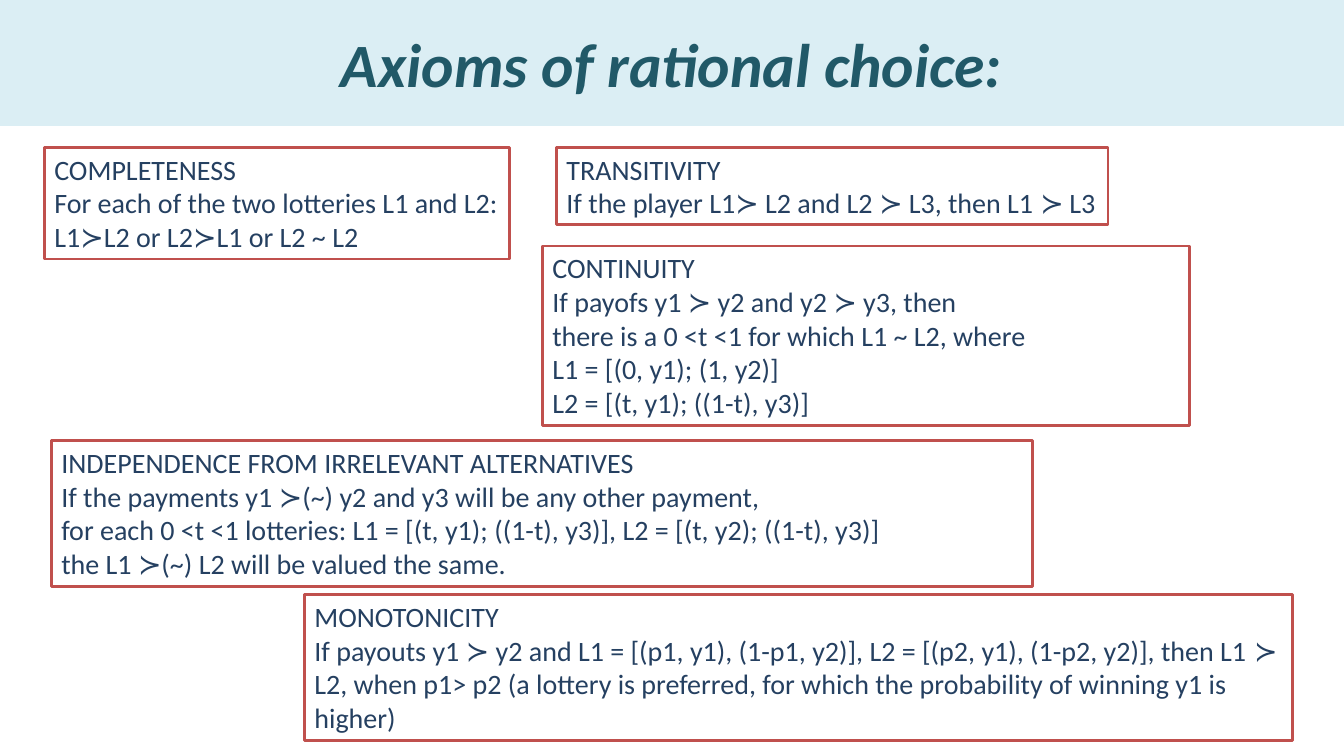
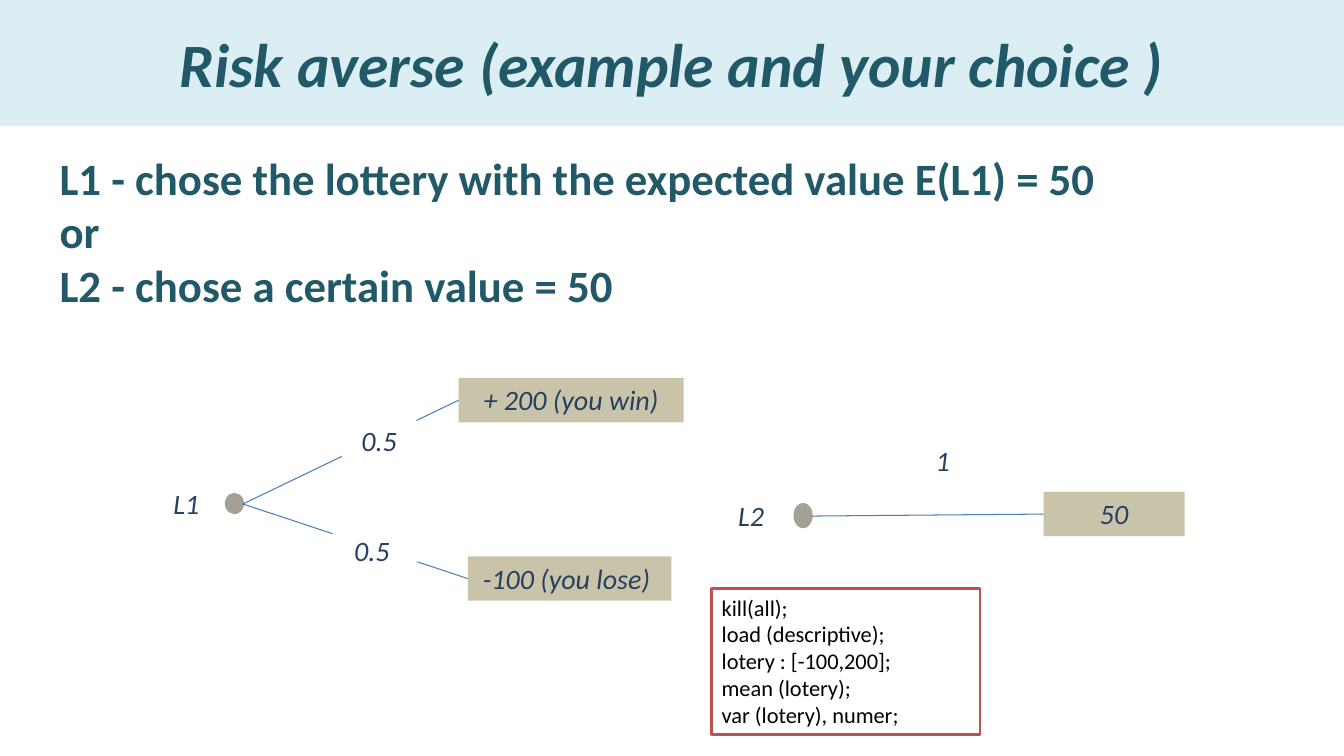
import pptx
import pptx.dml.color
import pptx.enum.shapes
import pptx.enum.text
import pptx.oxml.ns
import pptx.util
from lxml import etree

Inches = pptx.util.Inches
Pt = pptx.util.Pt
SHAPE = pptx.enum.shapes.MSO_SHAPE
ANCHOR = pptx.enum.text.MSO_ANCHOR
ALIGN = pptx.enum.text.PP_ALIGN
AUTO = pptx.enum.text.MSO_AUTO_SIZE
qn = pptx.oxml.ns.qn

FONT = "Calibri"
BAND, TEAL, NAVY, RED = "DBEEF4", "215968", "254061", "C0504D"
WHITE, BLACK, BLUE, OLIVE, DARK = "FFFFFF", "000000", "4B7EBC", "948A54", "4A452A"


def rgb(hex_text):
    return pptx.dml.color.RGBColor.from_string(hex_text)


def box(shapes, at, lines=(), kind=SHAPE.RECTANGLE, fill=WHITE, alpha=None,
        line=None, size=20, color=NAVY, italic=False, align=ALIGN.LEFT):
    """Add a filled shape with one paragraph per line; alpha is in percent."""
    sp = shapes.add_shape(kind, *[Inches(v) for v in at])
    sp.shadow.inherit = False
    sp.fill.solid()
    sp.fill.fore_color.rgb = rgb(fill)
    if alpha is not None:
        clr = sp.fill._xPr.find(qn("a:solidFill")).find(qn("a:srgbClr"))
        etree.SubElement(clr, qn("a:alpha")).set("val", str(alpha * 1000))
    if line:
        sp.line.color.rgb = rgb(line)
        sp.line.width = Pt(2)
    else:
        sp.line.fill.background()
    tf = sp.text_frame
    tf.word_wrap = True
    tf.vertical_anchor = ANCHOR.TOP
    if lines:
        tf.auto_size = AUTO.SHAPE_TO_FIT_TEXT
    for i, text in enumerate(lines):
        p = tf.add_paragraph() if i else tf.paragraphs[0]
        p.alignment = align
        r = p.add_run()
        r.text = text
        r.font.name = FONT
        r.font.size = Pt(size)
        r.font.italic = italic
        r.font.color.rgb = rgb(color)


prs = pptx.Presentation()
prs.slide_width = Inches(13.33)
prs.slide_height = Inches(7.5)

# Slides with their shared title band
slides = []
for layout, title in [(5, "Axioms of rational choice:"),
                      (1, "Risk averse (example and your choice )")]:
    s = prs.slides.add_slide(prs.slide_layouts[layout])
    sp = s.shapes.title
    sp.left, sp.top = 0, 0
    sp.width, sp.height = prs.slide_width, Inches(1.25)
    sp.fill.solid()
    sp.fill.fore_color.rgb = rgb(BAND)
    tf = sp.text_frame
    tf.auto_size = AUTO.NONE
    tf.vertical_anchor = ANCHOR.MIDDLE
    p = tf.paragraphs[0]
    p.alignment = ALIGN.CENTER
    r = p.add_run()
    r.text = title
    r.font.name = FONT
    r.font.size = Pt(44)
    r.font.bold = r.font.italic = True
    r.font.color.rgb = rgb(TEAL)
    slides.append(s)
axioms, example = slides

# Axiom boxes
for at, lines in [
    ((0.44, 1.46, 4.61, 1.11), [
        "COMPLETENESS",
        "For each of the two lotteries L1 and L2:",
        "L1≻L2 or L2≻L1 or L2 ~ L2"]),
    ((5.52, 1.46, 5.47, 0.77), [
        "TRANSITIVITY",
        "If the player L1≻ L2 and L2 ≻ L3, then L1 ≻ L3"]),
    ((5.38, 2.44, 6.42, 1.78), [
        "CONTINUITY",
        "If payofs y1 ≻ y2 and y2 ≻ y3, then",
        "there is a 0 <t <1 for which L1 ~ L2, where",
        "L1 = [(0, y1); (1, y2)]",
        "L2 = [(t, y1); ((1-t), y3)]"]),
    ((0.51, 4.37, 9.73, 1.45), [
        "INDEPENDENCE FROM IRRELEVANT ALTERNATIVES",
        "If the payments y1 ≻(~) y2 and y3 will be any other payment,",
        "for each 0 <t <1 lotteries: L1 = [(t, y1); ((1-t), y3)], "
        "L2 = [(t, y2); ((1-t), y3)]",
        "the L1 ≻(~) L2 will be valued the same."]),
    ((3.02, 5.9, 9.8, 1.45), [
        "MONOTONICITY",
        "If payouts y1 ≻ y2 and L1 = [(p1, y1), (1-p1, y2)], "
        "L2 = [(p2, y1), (1-p2, y2)], then L1 ≻ L2, when p1> p2 "
        "(a lottery is preferred, for which the probability of winning y1 is higher)"]),
]:
    box(axioms.shapes, at, lines, line=RED)

# The choice between the two lotteries
sp = example.placeholders[1]
sp.left, sp.top = Inches(0.49), Inches(1.44)
sp.width, sp.height = Inches(12.6), Inches(1.72)
tf = sp.text_frame
tf.auto_size = AUTO.NONE
tf.vertical_anchor = ANCHOR.TOP
for i, text in enumerate(["L1 - chose the lottery with the expected value E(L1) = 50",
                          "or",
                          "L2 - chose a certain value = 50"]):
    p = tf.add_paragraph() if i else tf.paragraphs[0]
    pPr = p._p.get_or_add_pPr()
    pPr.set("marL", "0")
    pPr.set("indent", "0")
    etree.SubElement(pPr, qn("a:buNone"))
    p.space_before = Pt(0)
    r = p.add_run()
    r.text = text
    r.font.name = FONT
    r.font.size = Pt(32)
    r.font.bold = True
    r.font.color.rgb = rgb(TEAL)

# Lottery trees: root point, branch ends, node, outcomes, labels
trees = [
    ((2.41, 5), [(4.55, 3.97), (4.64, 5.74)], (2.23, 4.89, 0.19, 0.21),
     [((4.55, 3.75, 2.23, 0.44), "+ 200 (you win)"),
      ((4.64, 5.52, 2.02, 0.44), "-100 (you lose) ")],
     [((3.39, 4.15, 0.74, 0.44), "0.5"),
      ((3.3, 5.24, 0.84, 0.44), "0.5 "),
      ((1.48, 4.78, 0.74, 0.44), "L1")]),
    ((8.05, 5.12), [(10.35, 5.1)], (7.87, 4.99, 0.19, 0.25),
     [((10.35, 4.88, 1.4, 0.44), "50")],
     [((8.98, 4.35, 0.74, 0.44), "1"),
      ((7.08, 4.9, 0.74, 0.44), "L2")]),
]
for root, ends, node, outcomes, labels in trees:
    shapes = example.shapes.add_group_shape().shapes
    for end in ends:
        branch = shapes.add_connector(pptx.enum.shapes.MSO_CONNECTOR.STRAIGHT,
                                      *[Inches(v) for v in root + end])
        branch.line.color.rgb = rgb(BLUE)
        branch.line.width = Pt(0.75)
        etree.SubElement(branch._element.spPr, qn("a:effectLst"))
    box(shapes, node, kind=SHAPE.OVAL, fill=DARK, alpha=50)
    for at, text in outcomes:
        box(shapes, at, [text], fill=OLIVE, alpha=50, italic=True, align=ALIGN.CENTER)
    for at, text in labels:
        box(shapes, at, [text], italic=True, align=ALIGN.CENTER)

# Code for the mean and variance
box(example.shapes, (7.06, 5.84, 2.66, 1.45),
    ["kill(all);", "load (descriptive);", "lotery : [-100,200];",
     "mean (lotery);", "var (lotery), numer;"],
    line=RED, size=16, color=BLACK)

prs.save("out.pptx")
